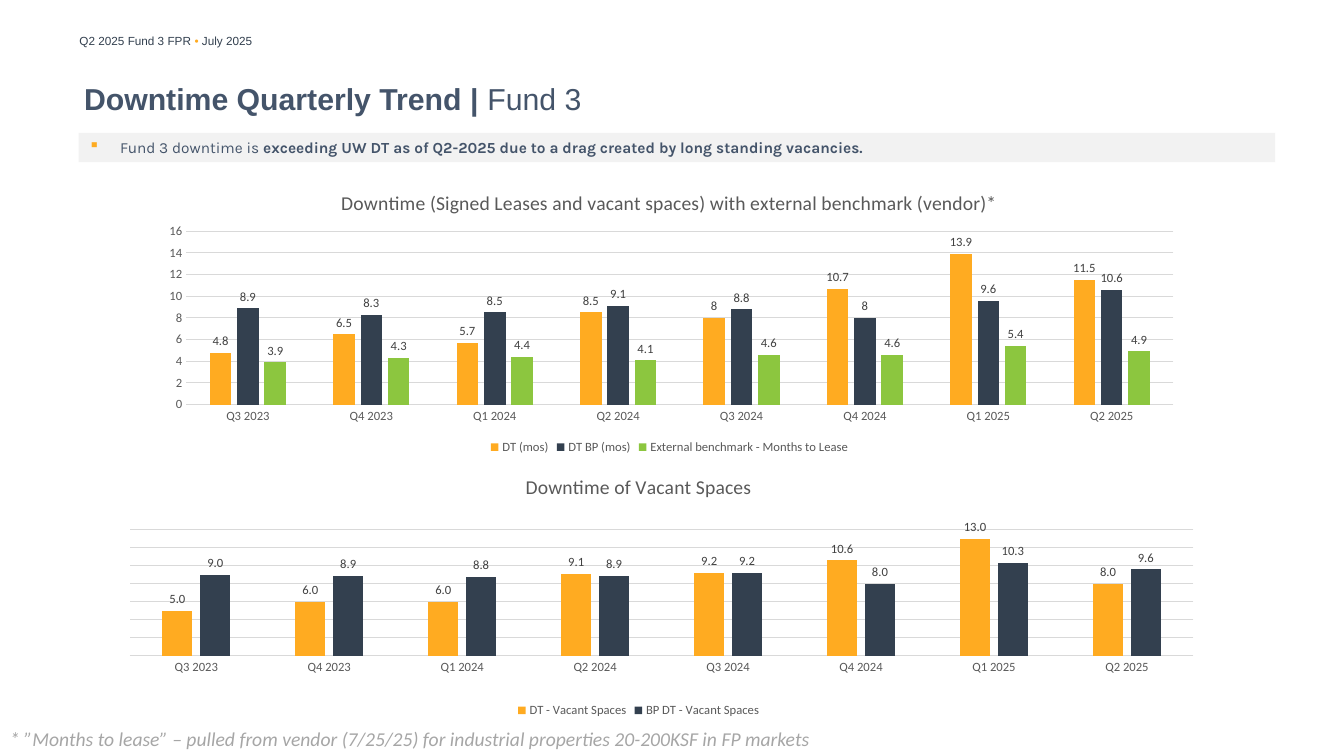
from lxml.etree import SubElement
from pptx import Presentation
from pptx.chart.data import CategoryChartData
from pptx.dml.color import RGBColor
from pptx.enum.chart import XL_CHART_TYPE, XL_LABEL_POSITION, XL_LEGEND_POSITION, XL_TICK_MARK
from pptx.enum.shapes import MSO_SHAPE
from pptx.enum.text import MSO_ANCHOR, PP_ALIGN
from pptx.oxml.ns import qn
from pptx.util import Pt

COLORS = {
    "slate": "44546A", "navy": "33404F", "orange": "FFAB21", "bullet": "FEAB21",
    "green": "8CC63F", "band": "F2F2F2", "grid": "D9D9D9", "axis": "595959",
    "label": "404040", "footnote": "A6A6A6",
}
QUARTERS = ["Q3 2023", "Q4 2023", "Q1 2024", "Q2 2024",
            "Q3 2024", "Q4 2024", "Q1 2025", "Q2 2025"]


class TrendSlide:
    def __init__(self, presentation):
        self.slide = presentation.slides.add_slide(presentation.slide_layouts[5])

    def color(self, name):
        return RGBColor.from_string(COLORS[name])

    def style(self, font, size, color, face="Calibri", bold=False, italic=False):
        font.name, font.size = face, Pt(size)
        font.bold, font.italic = bold, italic
        font.color.rgb = self.color(color)

    def runs(self, paragraph, pieces, size, face, italic=False):
        paragraph.alignment = PP_ALIGN.LEFT
        for words, color, bold in pieces:
            run = paragraph.add_run()
            run.text = words
            self.style(run.font, size, color, face, bold, italic)

    def title(self, box, pieces, size, face):
        heading = self.slide.shapes.title
        heading.left, heading.top, heading.width, heading.height = map(Pt, box)
        frame = heading.text_frame
        frame.margin_left = frame.margin_right = frame.margin_top = frame.margin_bottom = 0
        frame.vertical_anchor = MSO_ANCHOR.MIDDLE
        self.runs(frame.paragraphs[0], pieces, size, face)

    def text(self, box, pieces, size, face, italic=False):
        frame = self.slide.shapes.add_textbox(*map(Pt, box)).text_frame
        frame.word_wrap = True
        self.runs(frame.paragraphs[0], pieces, size, face, italic)

    def bullet_band(self, box, pieces, size, face):
        band = self.slide.shapes.add_shape(MSO_SHAPE.RECTANGLE, *map(Pt, box))
        band.shadow.inherit = False
        band.fill.solid()
        band.fill.fore_color.rgb = self.color("band")
        band.line.fill.background()
        band.text_frame.vertical_anchor = MSO_ANCHOR.TOP
        paragraph = band.text_frame.paragraphs[0]
        properties = paragraph._p.get_or_add_pPr()
        properties.set("marL", str(Pt(22.5)))
        properties.set("indent", str(-Pt(22.5)))
        tint = SubElement(properties, qn("a:buClr"))
        SubElement(tint, qn("a:srgbClr"), val=COLORS["bullet"])
        SubElement(properties, qn("a:buChar"), char="▪")
        self.runs(paragraph, pieces, size, face)

    def column_chart(self, box, title, series, number_format, plot_area, top, show_values):
        data = CategoryChartData(number_format=number_format)
        data.categories = QUARTERS
        for name, _, values in series:
            data.add_series(name, values)
        chart = self.slide.shapes.add_chart(
            XL_CHART_TYPE.COLUMN_CLUSTERED, *map(Pt, box), data).chart
        chart.font.name, chart.font.size = "Calibri", Pt(10)
        chart.has_title = True
        heading = chart.chart_title.text_frame.paragraphs[0].add_run()
        heading.text = title
        self.style(heading.font, 14, "axis")
        chart.chart_title.include_in_layout = False
        chart.has_legend = True
        chart.legend.position = XL_LEGEND_POSITION.BOTTOM
        chart.legend.include_in_layout = False
        self.style(chart.legend.font, 9, "axis")
        self.axes(chart, number_format, top, show_values)
        plot = chart.plots[0]
        plot.gap_width, plot.overlap = 219, -27
        plot.vary_by_categories = False
        for column, (_, color, _) in zip(plot.series, series):
            column.format.fill.solid()
            column.format.fill.fore_color.rgb = self.color(color)
            column.invert_if_negative = False
            labels = column.data_labels
            labels.show_value = True
            labels.position = XL_LABEL_POSITION.OUTSIDE_END
            labels.number_format = number_format
            labels.number_format_is_linked = False
            self.style(labels.font, 9, "label")
        self.place_plot(chart, plot_area)

    def axes(self, chart, number_format, top, show_values):
        quarters, months = chart.category_axis, chart.value_axis
        for axis in (quarters, months):
            axis.major_tick_mark = axis.minor_tick_mark = XL_TICK_MARK.NONE
            self.style(axis.tick_labels.font, 9, "axis")
        months.minimum_scale, months.maximum_scale, months.major_unit = 0, top, 2
        months.tick_labels.number_format = number_format
        months.tick_labels.number_format_is_linked = False
        months.has_major_gridlines = True
        months.format.line.fill.background()
        months.visible = show_values
        for line in (quarters.format.line, months.major_gridlines.format.line):
            line.color.rgb = self.color("grid")
            line.width = Pt(0.75)

    def place_plot(self, chart, plot_area):
        area = chart.plots[0]._element.getparent()
        for old in area.findall(qn("c:layout")):
            area.remove(old)
        layout = SubElement(area, qn("c:layout"))
        area.insert(0, layout)
        manual = SubElement(layout, qn("c:manualLayout"))
        settings = [("layoutTarget", "inner"), ("xMode", "edge"), ("yMode", "edge")]
        for tag, value in settings + list(zip("xywh", plot_area)):
            SubElement(manual, qn(f"c:{tag}"), val=str(value))


def main():
    presentation = Presentation()
    presentation.slide_width, presentation.slide_height = Pt(960), Pt(540)
    trend = TrendSlide(presentation)
    trend.text((49.7, 20.9, 325, 17.3), [
        ("Q2 2025 Fund 3 FPR ", "navy", False),
        ("• ", "orange", False),
        ("July 2025", "navy", False)], 8.4, "Arial")
    trend.title((60, 43.2, 793.4, 54), [
        ("Downtime Quarterly Trend | ", "slate", True),
        ("Fund 3", "slate", False)], 21.6, "Arial")
    trend.bullet_band((56.2, 95, 854.6, 20.9), [
        ("Fund 3 downtime is ", "slate", False),
        ("exceeding UW DT as of Q2-2025 due to a drag created by long standing vacancies.",
         "slate", True)], 11, "Karla")
    trend.column_chart(
        (43.2, 327.6, 825.8, 187.9), "Downtime of Vacant Spaces",
        [("DT - Vacant Spaces", "orange", [5, 6, 6, 9.1, 9.2, 10.6, 13, 8]),
         ("BP DT - Vacant Spaces", "navy", [9, 8.9, 8.8, 8.9, 9.2, 8, 10.3, 9.6])],
        "0.0", (0.06, 0.27, 0.92, 0.48), 14, False)
    trend.text((0, 515.5, 615.6, 24.5), [
        ("* ”Months to lease” – pulled from vendor (7/25/25) for industrial properties "
         "20-200KSF in FP markets", "footnote", False)], 14, "Calibri", italic=True)
    trend.column_chart(
        (103, 124.6, 750.2, 203),
        "Downtime (Signed Leases and vacant spaces) with external benchmark (vendor)*",
        [("DT (mos)", "orange", [4.8, 6.5, 5.7, 8.5, 8, 10.7, 13.9, 11.5]),
         ("DT BP (mos)", "navy", [8.9, 8.3, 8.5, 9.1, 8.8, 8, 9.6, 10.6]),
         ("External benchmark - Months to Lease", "green",
          [3.9, 4.3, 4.4, 4.1, 4.6, 4.6, 5.4, 4.9])],
        "General", (0.04, 0.2, 0.94, 0.61), 16, True)
    presentation.save("out.pptx")


if __name__ == "__main__":
    main()
